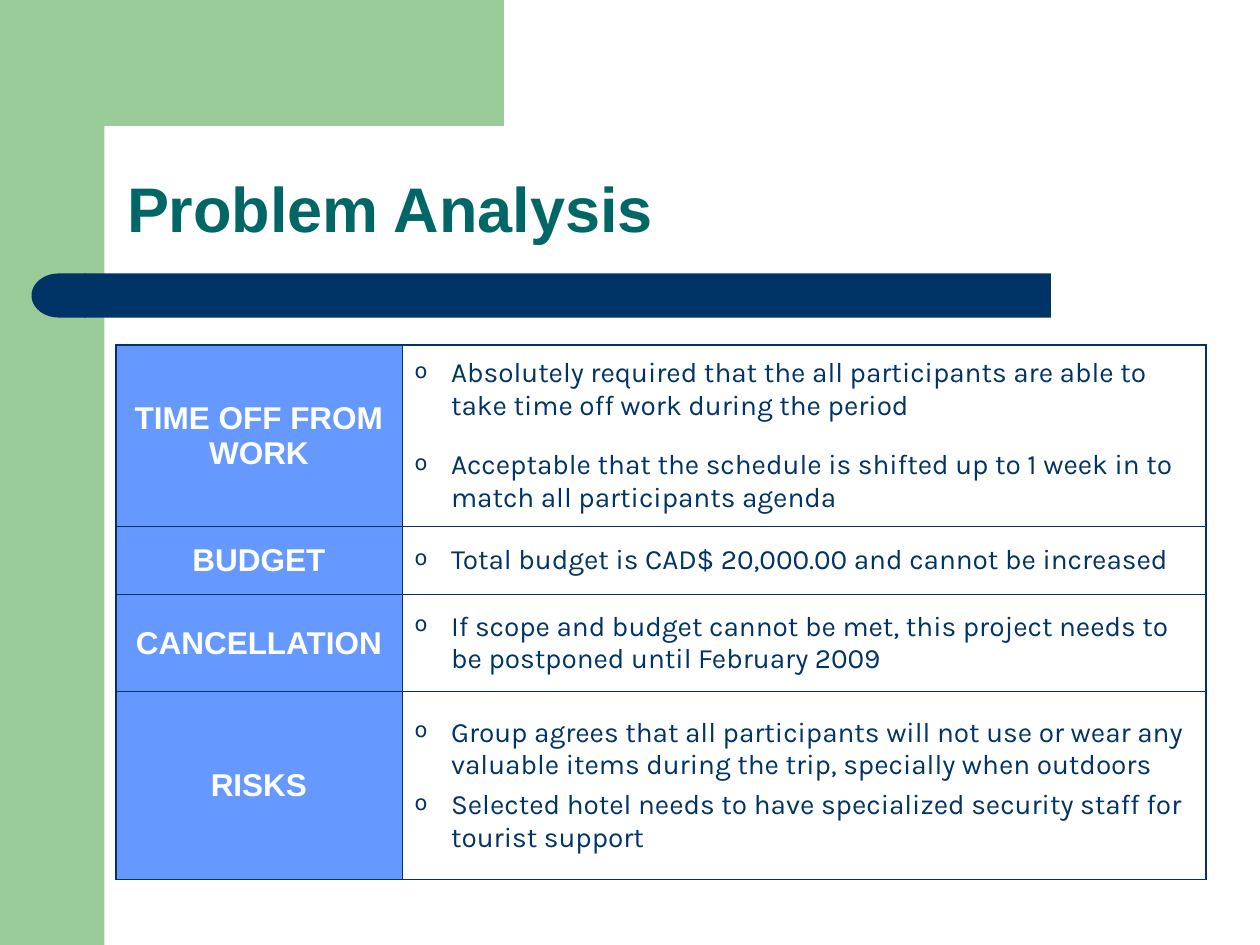
import math

from lxml import etree
from pptx import Presentation
from pptx import util as u
from pptx.dml.color import RGBColor
from pptx.enum import shapes, text
from pptx.oxml import ns

COLORS = {
    "green": "99CC99",
    "navy": "003366",
    "teal": "006666",
    "blue": "6699FF",
    "white": "FFFFFF",
}
COLUMN_WIDTHS = [2.27, 6.38]
ROW_HEIGHTS = [1.44, 0.54, 0.77, 1.49]
TIGHT, LOOSE = 4, 15
CONSTRAINTS = [
    ("TIME OFF FROM WORK", LOOSE, [
        "Absolutely required that the all participants are able to take time off work during the period",
        "Acceptable that the schedule is shifted up to 1 week in to match all participants agenda",
    ]),
    ("BUDGET", TIGHT, ["Total budget is CAD$ 20,000.00 and cannot be increased"]),
    ("CANCELLATION", TIGHT, [
        "If scope and budget cannot be met, this project needs to be postponed until February 2009",
    ]),
    ("RISKS", TIGHT, [
        "Group agrees that all participants will not use or wear any valuable items during the trip, specially when outdoors",
        "Selected hotel needs to have specialized security staff for tourist support",
    ]),
]


def rgb(name):
    return RGBColor.from_string(COLORS[name])


def paint(shape, color):
    shape.shadow.inherit = False
    shape.fill.solid()
    shape.fill.fore_color.rgb = rgb(color)
    shape.line.fill.background()


def add_block(slide, kind, box, color):
    block = slide.shapes.add_shape(kind, *map(u.Inches, box))
    paint(block, color)
    return block


def add_corner(slide):
    center, radius = 1.16, 0.33
    angles = [math.radians(90 + step * 7.5) for step in range(13)]
    curve = [(center + radius * math.cos(a), center - radius * math.sin(a)) for a in angles]
    outline = [(3.5, 0.83), *curve, (0.83, 1.28), (0.5, 1.28), (0.5, 0)]
    builder = slide.shapes.build_freeform(3.5, 0, scale=u.Inches(1))
    builder.add_line_segments(outline, close=True)
    paint(builder.convert_to_shape(), "green")


def style(paragraph, font, size, color, bold=False):
    paragraph.font.name = font
    paragraph.font.size = u.Pt(size)
    paragraph.font.bold = bold
    paragraph.font.color.rgb = rgb(color)


def add_title(slide, words):
    title = slide.shapes.add_textbox(*map(u.Inches, (0.91, 0.91, 8.51, 1.09)))
    frame = title.text_frame
    frame.word_wrap = True
    frame.vertical_anchor = text.MSO_ANCHOR.BOTTOM
    heading = frame.paragraphs[0]
    heading.text = words
    heading.line_spacing = 0.9
    style(heading, "Arial", 36, "teal", True)


def add_bullet(paragraph):
    props = paragraph._p.get_or_add_pPr()
    props.set("marL", str(u.Inches(0.29)))
    props.set("indent", str(-u.Inches(0.29)))
    color = etree.SubElement(props, ns.qn("a:buClr"))
    etree.SubElement(color, ns.qn("a:srgbClr"), val=COLORS["navy"])
    etree.SubElement(props, ns.qn("a:buSzPct"), val="75000")
    etree.SubElement(props, ns.qn("a:buChar"), char="o")


def set_borders(cell, outer_sides):
    props = cell._tc.get_or_add_tcPr()
    for position, side in enumerate("LRTB"):
        width = u.Pt(1.08 if side in outer_sides else 0.45)
        line = etree.Element(ns.qn(f"a:ln{side}"), w=str(width))
        fill = etree.SubElement(line, ns.qn("a:solidFill"))
        etree.SubElement(fill, ns.qn("a:srgbClr"), val=COLORS["navy"])
        props.insert(position, line)


def fill_label(cell, words):
    cell.fill.solid()
    cell.fill.fore_color.rgb = rgb("blue")
    label = cell.text_frame.paragraphs[0]
    label.text = words
    label.alignment = text.PP_ALIGN.CENTER
    label.space_before = u.Pt(4.5)
    style(label, "Arial", 18, "white", True)


def fill_points(cell, points, gap):
    cell.fill.background()
    frame = cell.text_frame
    for index, words in enumerate(points):
        point = frame.add_paragraph() if index else frame.paragraphs[0]
        point.text = words
        point.space_before = u.Pt(gap if index else TIGHT)
        add_bullet(point)
        style(point, "Karla", 16, "navy")


def add_constraints(slide):
    last = len(CONSTRAINTS) - 1
    box = (0.92, 2.74, sum(COLUMN_WIDTHS), sum(ROW_HEIGHTS))
    table = slide.shapes.add_table(last + 1, 2, *map(u.Inches, box)).table
    table.first_row = table.horz_banding = False
    for column, width in zip(table.columns, COLUMN_WIDTHS):
        column.width = u.Inches(width)
    for index, (label, gap, points) in enumerate(CONSTRAINTS):
        table.rows[index].height = u.Inches(ROW_HEIGHTS[index])
        label_cell, points_cell = table.rows[index].cells
        fill_label(label_cell, label)
        fill_points(points_cell, points, gap)
        ends = ("T" if index == 0 else "") + ("B" if index == last else "")
        for cell, side in ((label_cell, "L"), (points_cell, "R")):
            cell.vertical_anchor = text.MSO_ANCHOR.MIDDLE
            set_borders(cell, side + ends)


def main():
    deck = Presentation()
    deck.slide_width, deck.slide_height = u.Inches(10), u.Inches(7.5)
    slide = deck.slides.add_slide(deck.slide_layouts[6])
    kinds = shapes.MSO_SHAPE
    add_block(slide, kinds.RECTANGLE, (0, 0, 0.83, 7.5), "green")
    add_corner(slide)
    bar = add_block(slide, kinds.ROUNDED_RECTANGLE, (0.67, 2.17, 7.67, 0.35), "navy")
    bar.adjustments[0] = 0
    bar_cap = add_block(slide, kinds.FLOWCHART_DELAY, (0.25, 2.17, 0.43, 0.35), "navy")
    bar_cap.rotation = 180
    add_title(slide, "Problem Analysis")
    add_constraints(slide)
    deck.save("out.pptx")


if __name__ == "__main__":
    main()
